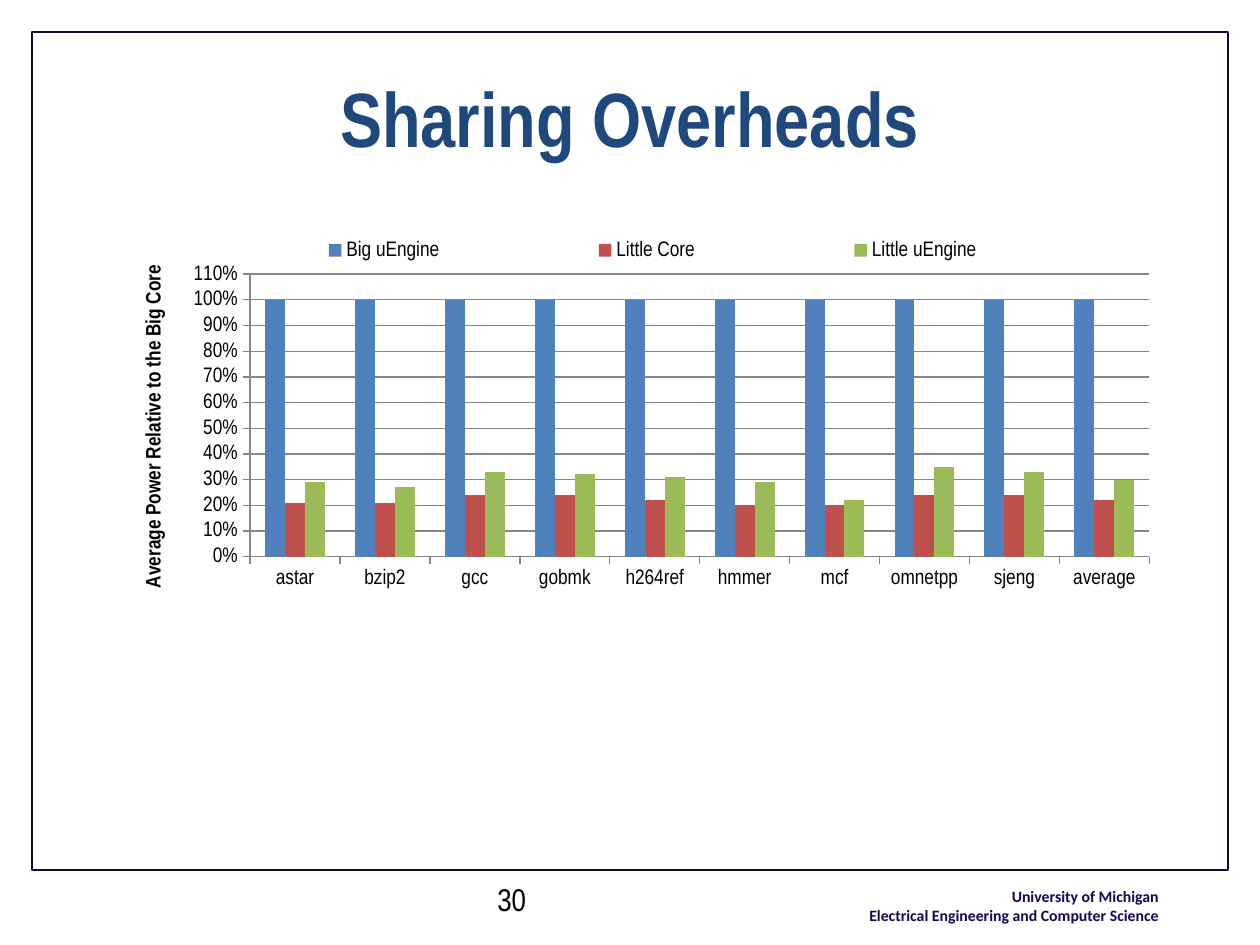
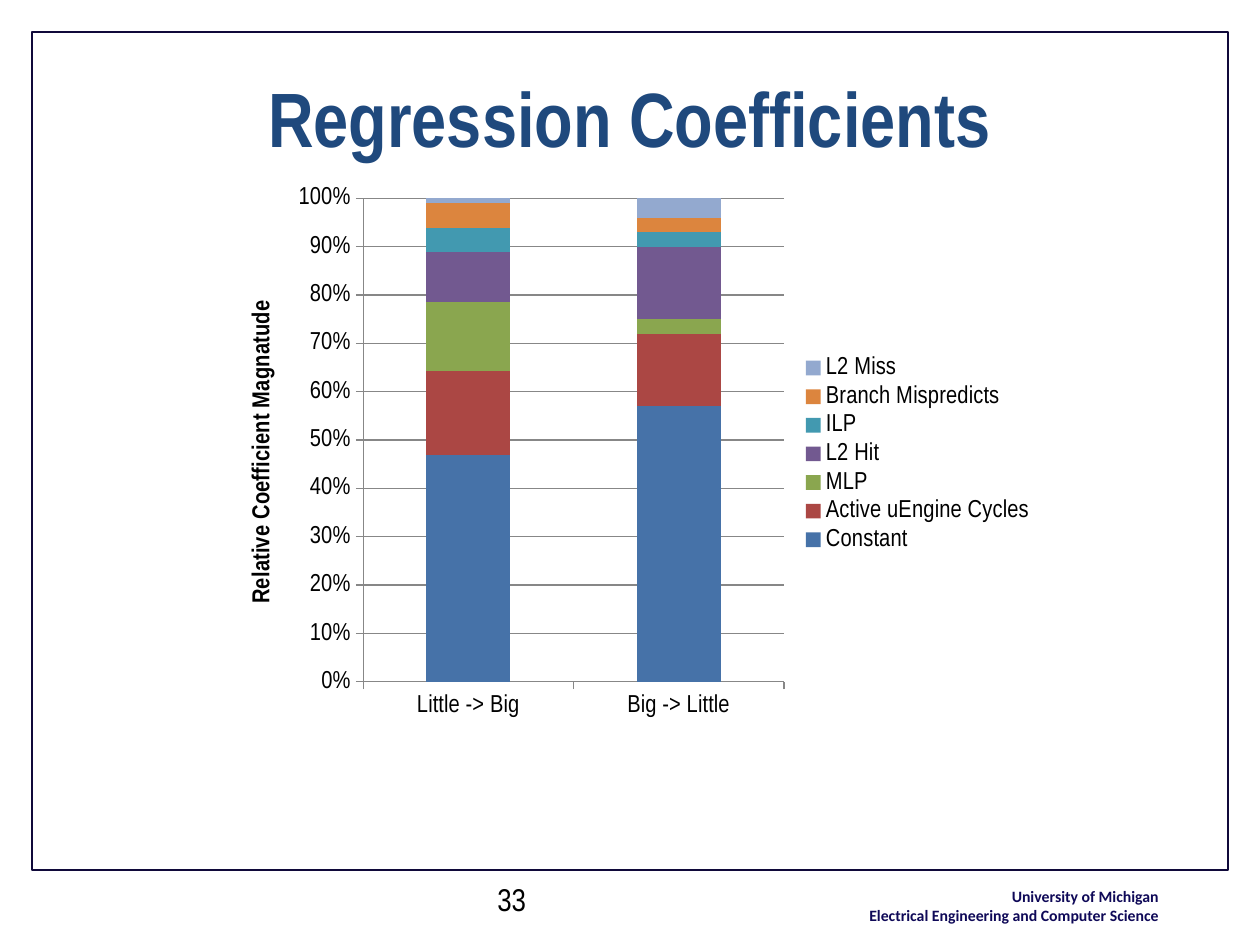
import dataclasses

import pptx
import pptx.chart.data
import pptx.dml.color
import pptx.enum.chart
import pptx.enum.shapes
import pptx.enum.text
import pptx.oxml
import pptx.oxml.ns
import pptx.util

PX = 914400 // 126  # EMU in one px, at 126 px to the inch


@dataclasses.dataclass(frozen=True)
class Theme:
    font: str = "Arial Narrow"
    footer_font: str = "Calibri"
    title: str = "1F497D"
    frame: str = "10093A"
    footer: str = "0F0958"
    text: str = "000000"
    grid: str = "878787"
    title_size: int = 44
    number_size: int = 18
    footer_size: int = 9


theme = Theme()
rgb = pptx.dml.color.RGBColor.from_string
Align = pptx.enum.text.PP_ALIGN
ChartType = pptx.enum.chart.XL_CHART_TYPE


def style_font(font, color, **values):
    """Set the colour of a font and each of the given format values."""
    font.color.rgb = rgb(color)
    for name, value in values.items():
        setattr(font, name, value)


def place_part(part, position, target=""):
    """Fix the place of a chart part, as x, y, w, h fractions of the chart."""
    for layout in part.findall(pptx.oxml.ns.qn("c:layout")):
        part.remove(layout)
    x, y, w, h = position
    layout = pptx.oxml.parse_xml(
        f'<c:layout {pptx.oxml.ns.nsdecls("c")}><c:manualLayout>{target}'
        f'<c:xMode val="edge"/><c:yMode val="edge"/><c:x val="{x}"/><c:y val="{y}"/>'
        f'<c:w val="{w}"/><c:h val="{h}"/></c:manualLayout></c:layout>')
    legend_pos = part.find(pptx.oxml.ns.qn("c:legendPos"))
    part.insert(0 if legend_pos is None else part.index(legend_pos) + 1, layout)


# Content of the slides
slides = [
    {
        "title": "Sharing Overheads",
        "number": "30",
        "box": (63, 220, 1134, 433),
        "type": ChartType.COLUMN_CLUSTERED,
        "size": 12,
        "axis_title": "Average Power Relative to the Big Core",
        "maximum": 1.1,
        "plot": (0.165, 0.125, 0.793, 0.653),
        "legend": (0.1, 0.03, 0.84, 0.08),
        "overlap": 0,
        "categories": ["astar", "bzip2", "gcc", "gobmk", "h264ref",
                       "hmmer", "mcf", "omnetpp", "sjeng", "average"],
        "series": [
            ("Big uEngine", "4F81BD", [1] * 10),
            ("Little Core", "C0504D",
             [0.21, 0.21, 0.24, 0.24, 0.22, 0.2, 0.2, 0.24, 0.24, 0.22]),
            ("Little uEngine", "9BBB59",
             [0.29, 0.27, 0.33, 0.32, 0.31, 0.29, 0.22, 0.35, 0.33, 0.3]),
        ],
    },
    {
        "title": "Regression Coefficients",
        "number": "33",
        "box": (223, 176, 825, 556),
        "type": ChartType.COLUMN_STACKED_100,
        "size": 14,
        "axis_title": "Relative Coefficient Magnatude",
        "maximum": 1,
        "plot": (0.17, 0.04, 0.51, 0.87),
        "legend": None,
        "overlap": 100,
        "categories": ["Little -> Big", "Big -> Little"],
        "series": [
            ("Constant", "4672A8", [46, 57]),
            ("Active uEngine Cycles", "AB4744", [17, 15]),
            ("MLP", "8AA64F", [14, 3]),
            ("L2 Hit", "725990", [10, 15]),
            ("ILP", "4299B0", [5, 3]),
            ("Branch Mispredicts", "DC853E", [5, 3]),
            ("L2 Miss", "93A9CF", [1, 4]),
        ],
    },
]

deck = pptx.Presentation()
deck.slide_width = pptx.util.Inches(10)
deck.slide_height = pptx.util.Inches(7.5)

for content in slides:
    slide = deck.slides.add_slide(deck.slide_layouts[6])

    # Frame around the slide body
    frame = slide.shapes.add_shape(pptx.enum.shapes.MSO_SHAPE.RECTANGLE,
                                   *(v * PX for v in (32, 32, 1196, 838)))
    frame.shadow.inherit = False
    frame.fill.background()
    frame.line.color.rgb = rgb(theme.frame)
    frame.line.width = pptx.util.Pt(1.25)

    # Footer, slide number and title
    texts = [
        (["University of Michigan", "Electrical Engineering and Computer Science"],
         (806, 881, 365, 50), Align.RIGHT, theme.footer,
         {"name": theme.footer_font, "size": pptx.util.Pt(theme.footer_size), "bold": True}),
        ([content["number"]], (485, 874, 294, 55), Align.LEFT, theme.text,
         {"name": theme.font, "size": pptx.util.Pt(theme.number_size)}),
        ([content["title"]], (63, 38, 1134, 158), Align.CENTER, theme.title,
         {"name": theme.font, "size": pptx.util.Pt(theme.title_size), "bold": True}),
    ]
    for lines, box, alignment, color, values in texts:
        frame_text = slide.shapes.add_textbox(*(v * PX for v in box)).text_frame
        frame_text.word_wrap = True
        if lines == [content["title"]]:
            frame_text.vertical_anchor = pptx.enum.text.MSO_ANCHOR.MIDDLE
        frame_text.text = "\n".join(lines)
        for paragraph in frame_text.paragraphs:
            paragraph.alignment = alignment
            style_font(paragraph.runs[0].font, color, **values)

    # Chart with its series
    data = pptx.chart.data.CategoryChartData()
    data.categories = content["categories"]
    for name, color, values in content["series"]:
        data.add_series(name, values)
    chart = slide.shapes.add_chart(
        content["type"], *(v * PX for v in content["box"]), data).chart
    chart.has_title = False
    chart_font = {"name": theme.font, "size": pptx.util.Pt(content["size"])}
    style_font(chart.font, theme.text, **chart_font)
    columns = chart.plots[0]
    for name, value in {"gap_width": 150, "overlap": content["overlap"],
                        "vary_by_categories": False}.items():
        setattr(columns, name, value)
    for series, (name, color, values) in zip(columns.series, content["series"]):
        series.format.fill.solid()
        series.format.fill.fore_color.rgb = rgb(color)

    # Axes and gridlines
    scale = chart.value_axis
    for name, value in {"minimum_scale": 0, "maximum_scale": content["maximum"],
                        "major_unit": 0.1, "has_major_gridlines": True}.items():
        setattr(scale, name, value)
    scale.tick_labels.number_format = "0%"
    scale.tick_labels.number_format_is_linked = False
    for ruled in (scale, chart.category_axis, scale.major_gridlines):
        ruled.format.line.color.rgb = rgb(theme.grid)
        ruled.format.line.width = pptx.util.Pt(0.75)
    for axis in (scale, chart.category_axis):
        axis.major_tick_mark = pptx.enum.chart.XL_TICK_MARK.OUTSIDE
    caption = scale.axis_title.text_frame
    caption.text = content["axis_title"]
    caption._txBody.bodyPr.set("rot", "-5400000")
    caption._txBody.bodyPr.set("vert", "horz")
    style_font(caption.paragraphs[0].runs[0].font, theme.text, bold=True, **chart_font)

    # Legend and plot position
    chart.has_legend = True
    chart.legend.position = pptx.enum.chart.XL_LEGEND_POSITION.RIGHT
    chart.legend.include_in_layout = False
    if content["legend"]:
        place_part(chart.legend._element, content["legend"])
    place_part(chart._chartSpace.chart.plotArea, content["plot"],
               '<c:layoutTarget val="inner"/>')

deck.save("out.pptx")
